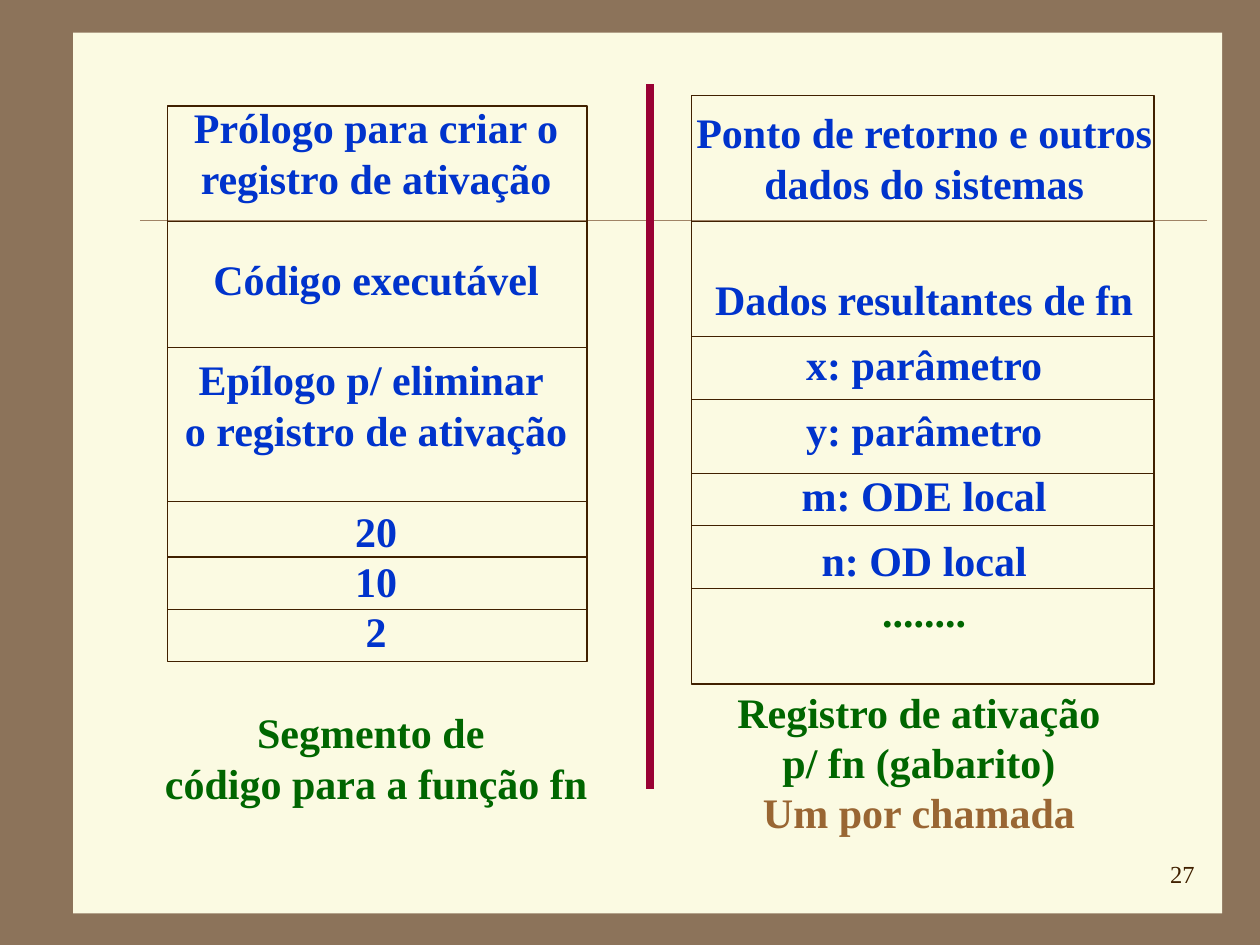
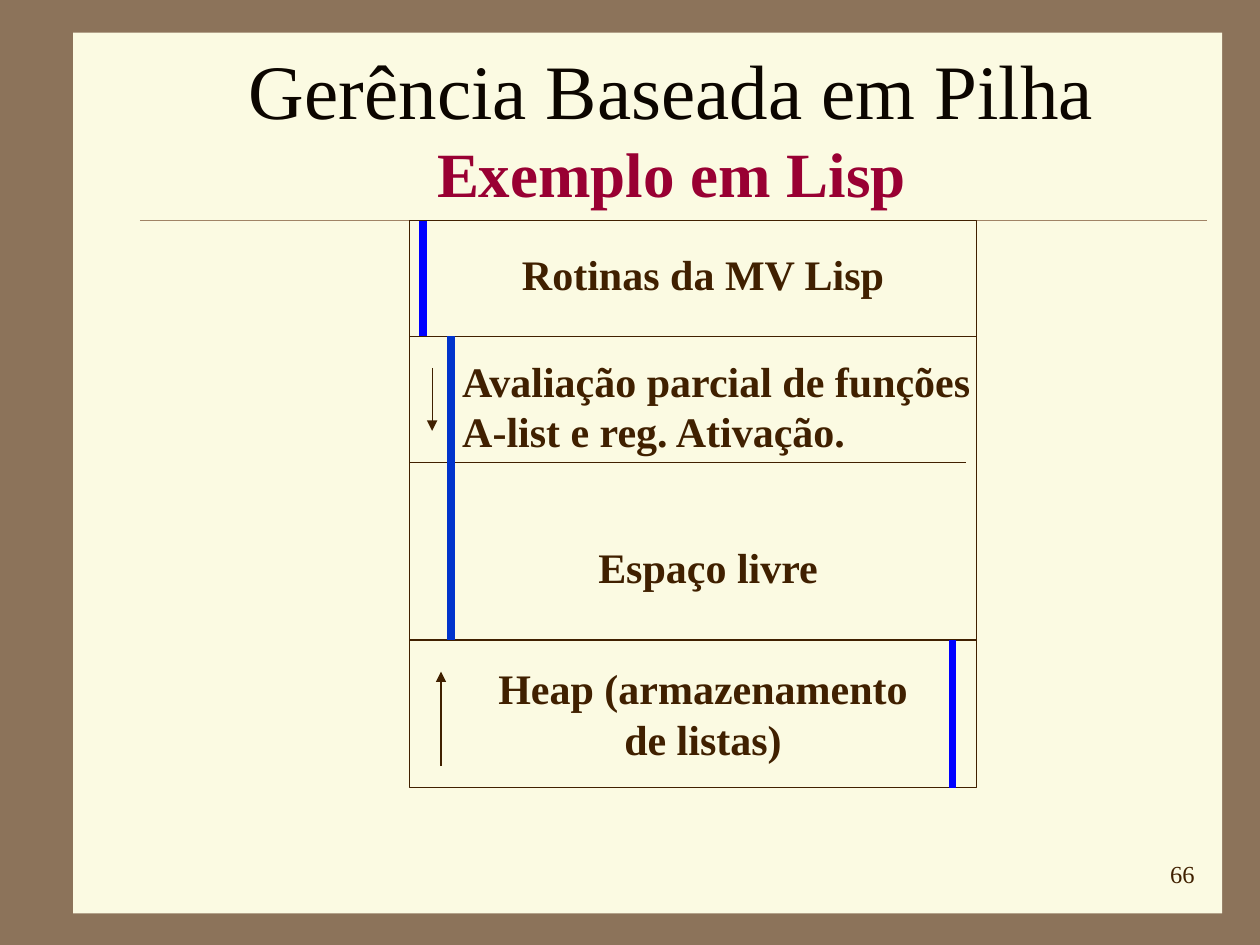
"""Build two slides on activation records and stack-based memory management."""
from pptx import Presentation
from pptx.dml.color import RGBColor
from pptx.enum.shapes import MSO_CONNECTOR, MSO_SHAPE
from pptx.enum.text import MSO_ANCHOR, MSO_AUTO_SIZE, PP_ALIGN as ALIGN
from pptx.oxml.ns import qn
from pptx.util import Inches, Pt
from lxml.etree import SubElement

FONT = "Times New Roman"
BROWN, BLUE, GREEN = "402000", "0033CC", "006600"
TAN, CRIMSON, BRIGHT_BLUE = "996633", "990033", "0000FF"
LINE, LOOSE_LINE = 28.8, 37.4
rgb = RGBColor.from_string


def add_line(slide, start, end, color=BROWN, width=0.75, arrow=False):
    """Draw a straight line, with an arrowhead at its end if asked."""
    points = [Inches(value) for value in (*start, *end)]
    line = slide.shapes.add_connector(MSO_CONNECTOR.STRAIGHT, *points)
    line.line.color.rgb = rgb(color)
    line.line.width = Pt(width)
    if arrow:
        SubElement(line.line._get_or_add_ln(), qn("a:tailEnd"), type="triangle")
    SubElement(line._element.spPr, qn("a:effectLst"))
    return line


def add_text(slide, box, paragraphs, size=24, bold=True, align=ALIGN.CENTER, wrap=True):
    """Add a text box of (text, colour, space before, line height) paragraphs."""
    frame = slide.shapes.add_textbox(*map(Inches, box)).text_frame
    frame.word_wrap = wrap
    for index, (text, color, before, height) in enumerate(paragraphs):
        paragraph = frame.paragraphs[0] if index == 0 else frame.add_paragraph()
        paragraph.text = text
        paragraph.alignment = align
        paragraph.space_before = Pt(before)
        paragraph.line_spacing = Pt(height)
        for run in paragraph.runs:
            run.font.name, run.font.size, run.font.bold = FONT, Pt(size), bold
            run.font.color.rgb = rgb(color)


presentation = Presentation()
presentation.slide_width, presentation.slide_height = Inches(10), Inches(7.5)
record_slide = presentation.slides.add_slide(presentation.slide_layouts[6])
stack_slide = presentation.slides.add_slide(presentation.slide_layouts[5])

master = presentation.slide_master
master.background.fill.solid()
master.background.fill.fore_color.rgb = rgb("8C735A")
panel = record_slide.shapes.add_shape(
    MSO_SHAPE.RECTANGLE, *map(Inches, (0.58, 0.26, 9.12, 6.99)))
panel.shadow.inherit = False
panel.fill.solid()
panel.fill.fore_color.rgb = rgb("FBFAE2")
panel.line.fill.background()
rule = add_line(record_slide, (1.11, 1.75), (9.58, 1.75), "A08366", 0.25)
for position, shape in enumerate((panel, rule), start=2):
    master.shapes._spTree.insert(position, shape._element)

for slide, number in ((record_slide, "27"), (stack_slide, "66")):
    add_text(slide, (9, 6.77, 0.58, 0.31), [(number, BROWN, 0, 16.8)],
             size=14, bold=False, align=ALIGN.RIGHT)

code_segment = [
    ("Prólogo para criar o", BLUE, 0, LINE),
    ("registro de ativação", BLUE, 0, LINE),
    ("Código executável", BLUE, LINE, LINE),
    ("Epílogo p/ eliminar \vo registro de ativação", BLUE, LINE, LINE),
    ("20", BLUE, LINE, LINE),
    ("10", BLUE, 0, LINE),
    ("2", BLUE, 0, LINE),
    ("Segmento de \vcódigo para a função fn", GREEN, LINE, LINE),
]
activation_record = [
    ("Ponto de retorno e outros\vdados do sistemas", BLUE, 0, LINE),
    ("Dados resultantes de fn", BLUE, LINE, LOOSE_LINE),
    ("x: parâmetro", BLUE, 0, LOOSE_LINE),
    ("y: parâmetro", BLUE, 0, LOOSE_LINE),
    ("m: ODE local", BLUE, 0, LOOSE_LINE),
    ("n: OD local", BLUE, 0, LOOSE_LINE),
    ("........", GREEN, 0, LINE),
    ("Registro de ativação \vp/ fn (gabarito) ", GREEN, LINE, LINE),
    ("Um por chamada ", TAN, 0, LINE),
]
add_text(record_slide, (1.21, 0.76, 3.55, 5.7), code_segment, wrap=False)
add_text(record_slide, (5.42, 0.8, 3.83, 5.9), activation_record, wrap=False)

memory_frames = [
    (record_slide, (1.33, 0.84, 3.33, 4.41), (1.76, 2.76, 3.98, 4.42, 4.84)),
    (record_slide, (5.49, 0.76, 3.67, 4.67), (1.76, 2.67, 3.17, 3.76, 4.17, 4.67)),
    (stack_slide, (3.25, 1.75, 4.5, 4.5), (2.67, 5.08)),
]
for slide, box, dividers in memory_frames:
    outline = slide.shapes.add_shape(MSO_SHAPE.RECTANGLE, *map(Inches, box))
    outline.shadow.inherit = False
    outline.fill.background()
    outline.line.color.rgb = rgb(BROWN)
    outline.line.width = Pt(0.75)
    for y in dividers:
        add_line(slide, (box[0], y), (box[0] + box[2], y))
add_line(record_slide, (5.16, 0.67), (5.16, 6.26), CRIMSON, 4.5)

title = stack_slide.shapes.title
title.left, title.top, title.width, title.height = map(Inches, (1.08, 0.5, 8.5, 1))
title.text_frame.text = "Gerência Baseada em Pilha\vExemplo em Lisp"
title.text_frame.vertical_anchor = MSO_ANCHOR.MIDDLE
title.text_frame.auto_size = MSO_AUTO_SIZE.NONE
title_paragraph = title.text_frame.paragraphs[0]
title_paragraph.alignment = ALIGN.CENTER
title_styles = ((44, "0C0600", False), (36, CRIMSON, True))
for run, (size, color, bold) in zip(title_paragraph.runs, title_styles):
    run.font.name, run.font.size, run.font.bold = FONT, Pt(size), bold
    run.font.color.rgb = rgb(color)

add_line(stack_slide, (3.25, 3.67), (7.67, 3.67))
add_line(stack_slide, (3.5, 6.08), (3.5, 5.33), arrow=True)
add_line(stack_slide, (3.43, 2.92), (3.43, 3.42), arrow=True)
for x, top, bottom, color in ((7.56, 5.08, 6.25, BRIGHT_BLUE),
                              (3.36, 1.75, 2.67, BRIGHT_BLUE),
                              (3.58, 2.67, 5.08, BLUE)):
    add_line(stack_slide, (x, top), (x, bottom), color, 4.5)

stack_regions = [
    ((3.46, 1.92, 4.24, 0.5), "Rotinas da MV Lisp", ALIGN.CENTER),
    ((3.57, 2.77, 4.33, 0.9),
     "Avaliação parcial de funções A-list e reg. Ativação.", ALIGN.LEFT),
    ((3.83, 4.25, 3.58, 0.5), "Espaço livre", ALIGN.CENTER),
    ((3.75, 5.21, 3.66, 0.9), "Heap (armazenamento de listas)", ALIGN.CENTER),
]
for box, text, align in stack_regions:
    add_text(stack_slide, box, [(text, BROWN, 0, LINE)], align=align)

presentation.save("out.pptx")
